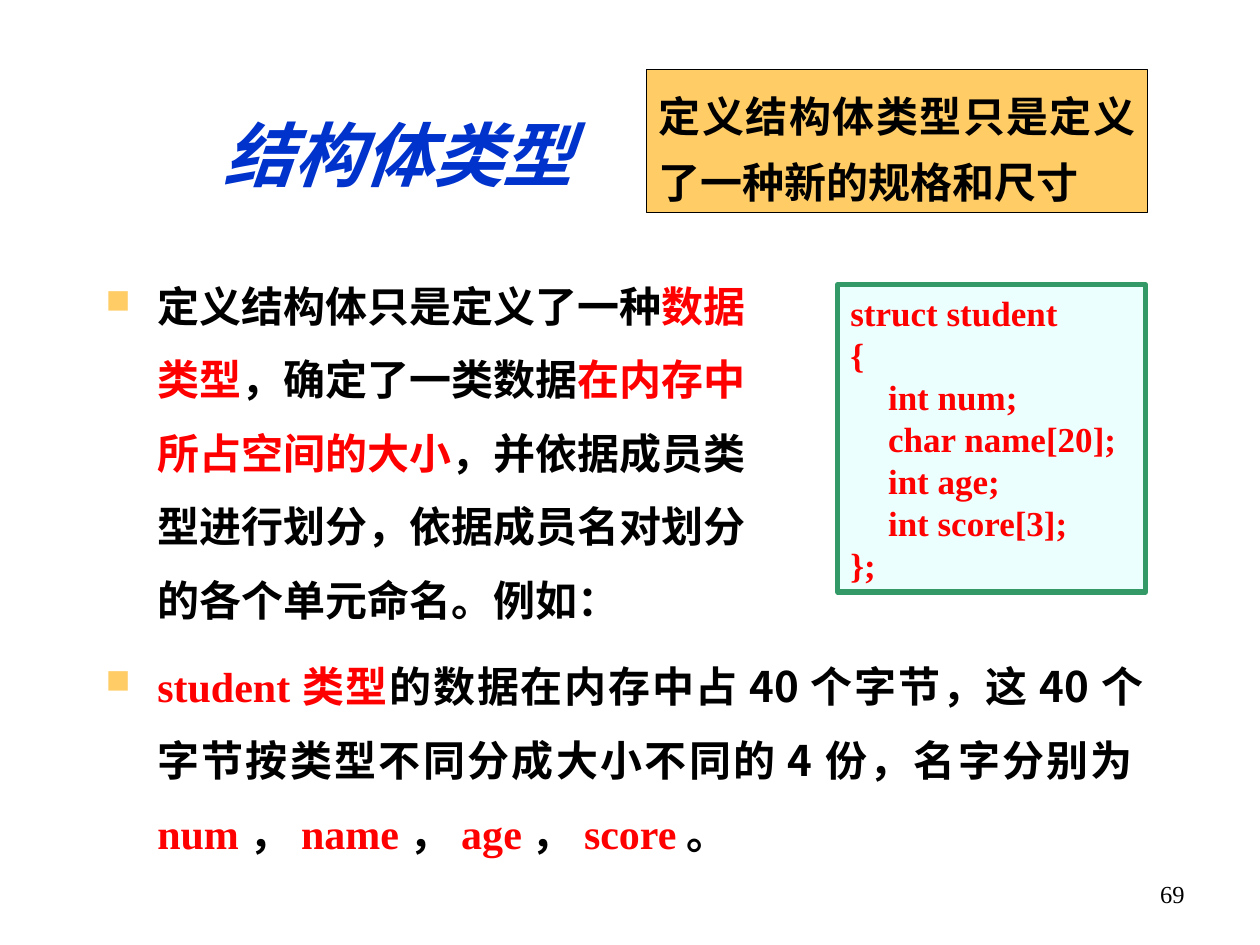
from lxml import etree
from pptx import Presentation
from pptx.dml.color import RGBColor
from pptx.enum.shapes import MSO_SHAPE
from pptx.enum.text import MSO_ANCHOR, PP_ALIGN
from pptx.oxml.ns import qn
from pptx.util import Inches, Pt

RECTANGLE = MSO_SHAPE.RECTANGLE
TOP, MIDDLE = MSO_ANCHOR.TOP, MSO_ANCHOR.MIDDLE
LEFT, CENTER, RIGHT, JUSTIFY = (
    PP_ALIGN.LEFT, PP_ALIGN.CENTER, PP_ALIGN.RIGHT, PP_ALIGN.JUSTIFY)
CJK, LATIN = "Noto Sans CJK SC", "Times New Roman"
COLORS = {"black": "000000", "red": "FF0000", "blue": "0033CC",
          "gold": "FFCC66", "mint": "EBFFFF", "green": "339966"}

prs = Presentation()
prs.slide_width, prs.slide_height = Inches(10), Inches(7.5)
slide = prs.slides.add_slide(prs.slide_layouts[6])


def add_block(area, fill=None, line=None, anchor=TOP):
    """Add a text area placed in percent of the slide; return its text frame."""
    left, top, width, height = area
    place = (int(prs.slide_width * left / 100), int(prs.slide_height * top / 100),
             int(prs.slide_width * width / 100), int(prs.slide_height * height / 100))
    if fill:
        block = slide.shapes.add_shape(RECTANGLE, *place)
        block.shadow.inherit = False
        block.fill.solid()
        block.fill.fore_color.rgb = RGBColor.from_string(COLORS[fill])
        block.line.color.rgb = RGBColor.from_string(COLORS[line[0]])
        block.line.width = Pt(line[1])
    else:
        block = slide.shapes.add_textbox(*place)
    frame = block.text_frame
    frame.word_wrap = True
    frame.vertical_anchor = anchor
    return frame


def add_run(paragraph, text, color, name, size=24, **styles):
    run = paragraph.add_run()
    run.text = text
    formats = {"size": Pt(size), "bold": True, "name": name, **styles}
    for key, value in formats.items():
        setattr(run.font, key, value)
    run.font.color.rgb = RGBColor.from_string(COLORS[color])
    properties = run._r.get_or_add_rPr()
    etree.SubElement(properties, qn("a:ea"), typeface=CJK)
    return properties


# Page number
page_number = add_block((71.7, 92.4, 23.3, 6.93)).paragraphs[0]
page_number.alignment = RIGHT
add_run(page_number, "69", "black", LATIN, 14, bold=False)

# Bulleted explanations
explanations = [
    ((7.4, 26.53, 55.2, 40.27), LEFT, [
        ("定义结构体只是定义了一种", "black", CJK),
        ("数据类型", "red", CJK),
        ("，确定了一类数据", "black", CJK),
        ("在内存中所占空间的大小", "red", CJK),
        ("，并依据成员类型进行划分，依据成员名对划分的各个单元命名。例如：", "black", CJK),
    ]),
    ((7.4, 66.8, 84.3, 24.27), JUSTIFY, [
        ("student", "red", LATIN),
        ("类型", "red", CJK),
        ("的数据在内存中占40个字节，这40个字节按类型不同分成大小不同的4份，名字分别为",
         "black", CJK),
        ("num", "red", LATIN), ("，", "black", CJK),
        ("name", "red", LATIN), ("，", "black", CJK),
        ("age", "red", LATIN), ("，", "black", CJK),
        ("score", "red", LATIN), ("。", "black", CJK),
    ]),
]
for area, alignment, runs in explanations:
    explanation = add_block(area).paragraphs[0]
    explanation.alignment = alignment
    layout = explanation._p.get_or_add_pPr()
    layout.set("marL", str(Inches(0.41)))
    layout.set("indent", str(-Inches(0.41)))
    bullet_color = etree.SubElement(layout, qn("a:buClr"))
    etree.SubElement(bullet_color, qn("a:srgbClr"), val=COLORS["gold"])
    etree.SubElement(layout, qn("a:buSzPct"), val="80000")
    etree.SubElement(layout, qn("a:buChar"), char="■")
    explanation.line_spacing = Pt(42)
    for text, color, name in runs:
        add_run(explanation, text, color, name)

# Struct definition
code = add_block((66.5, 30.13, 24.4, 32.53), "mint", ("green", 3), MIDDLE)
code_lines = ["struct student", "{", "\tint num;", "\tchar name[20];",
              "\tint age;", "\tint score[3];", "};"]
for index, code_line in enumerate(code_lines):
    statement = code.add_paragraph() if index else code.paragraphs[0]
    statement.alignment = LEFT
    layout = statement._p.get_or_add_pPr()
    layout.set("marL", str(Inches(0.3)))
    layout.set("indent", str(-Inches(0.3)))
    add_run(statement, code_line, "red", LATIN, 20)

# Title with a text shadow
title_frame = add_block((14.8, 11.6, 33.6, 9.2), anchor=MIDDLE)
for margin in ("margin_left", "margin_right", "margin_top", "margin_bottom"):
    setattr(title_frame, margin, 0)
title = title_frame.paragraphs[0]
title.alignment = CENTER
title_format = add_run(title, "结构体类型", "blue", LATIN, 40, italic=True)
effects = etree.Element(qn("a:effectLst"))
shadow = etree.SubElement(effects, qn("a:outerShdw"), dist=str(Pt(2)), dir="2700000")
etree.SubElement(shadow, qn("a:srgbClr"), val=COLORS["black"])
title_format.find(qn("a:latin")).addprevious(effects)

# Key point
key_point = add_block((51.3, 7.33, 39.8, 15.2), "gold", ("black", 0.75),
                      MIDDLE).paragraphs[0]
key_point.alignment = JUSTIFY
key_point.line_spacing = 1.3
add_run(key_point, "定义结构体类型只是定义了一种新的规格和尺寸", "black", CJK)

prs.save("out.pptx")
